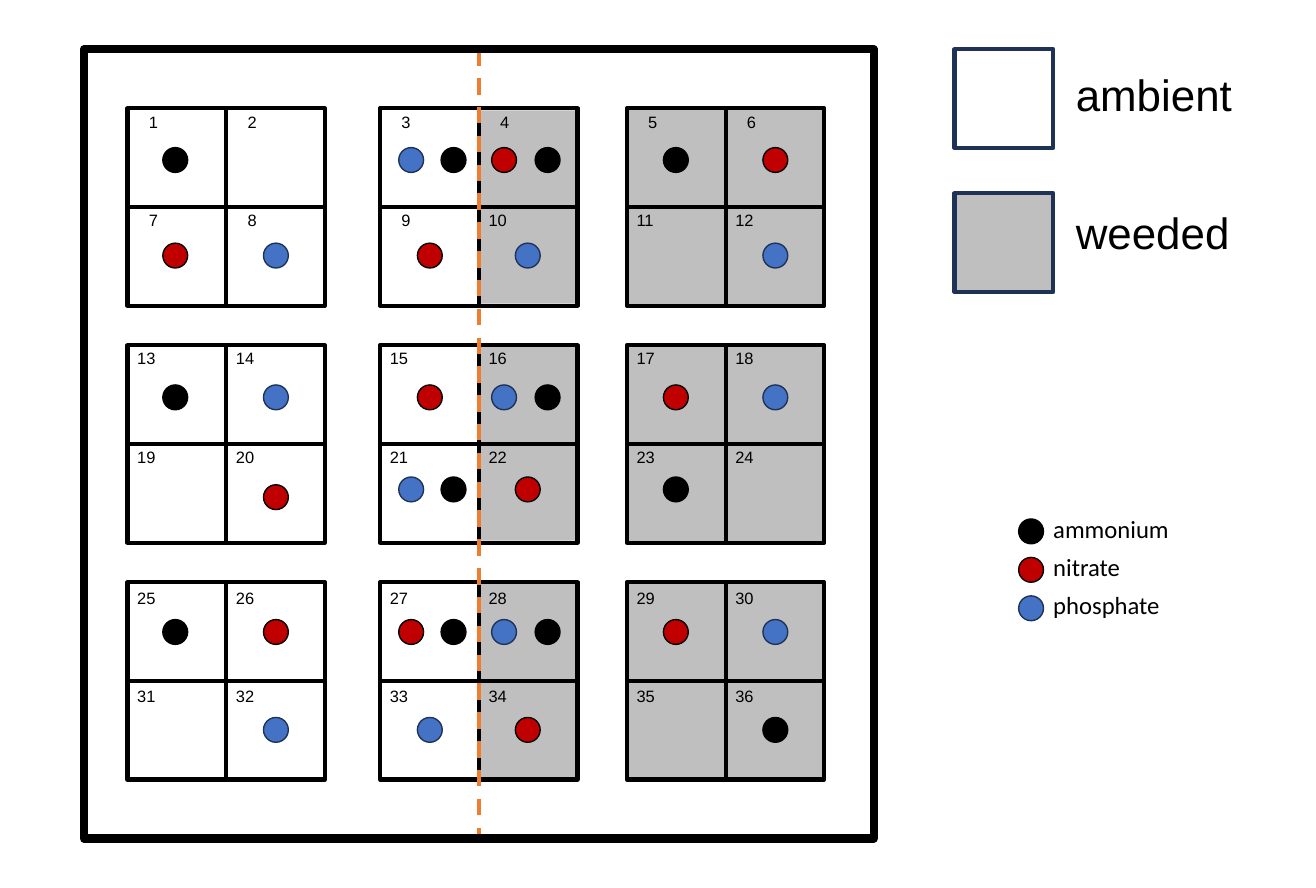
"""Build the field plot map with its treatment and nutrient legends."""
import pptx
import pptx.dml.color
import pptx.enum.dml
import pptx.enum.shapes
import pptx.enum.text
import pptx.oxml
import pptx.oxml.ns
import pptx.util

Cm = pptx.util.Cm
SHAPES = pptx.enum.shapes.MSO_SHAPE

COLORS = {"black": "000000", "white": "FFFFFF", "gray": "BFBFBF", "red": "C00000",
          "blue": "4472C4", "navy": "1E3256", "orange": "ED7D31"}
NUTRIENTS = {"A": ("ammonium", "black", "black", 3.53),
             "N": ("nitrate", "red", "black", 2.26),
             "P": ("phosphate", "blue", "navy", 3.28)}
TREATMENTS = [("ambient", "white", 1.27, 1.63, 4.57), ("weeded", "gray", 4.98, 5.16, 4.5)]
PLOTS = [
    ["A", "", "PA", "NA", "A", "N"],
    ["N", "P", "N", "P", "", "P"],
    ["A", "P", "N", "PA", "N", "P"],
    ["", "N", "PA", "N", "A", ""],
    ["A", "N", "NA", "PA", "N", "P"],
    ["", "P", "P", "N", "", "A"],
]

CELL = 2.54
BLOCK = 2 * CELL
DOT = 0.64
BLOCK_LEFTS = [3.28, 9.78, 16.13]
BLOCK_TOPS = [2.79, 8.89, 14.99]
BLOCK_FILLS = ["white", None, "gray"]
LABEL_TOPS = [2.77, 5.28, 8.84, 11.38, 15.01, 17.53]
DOT_TOPS = [3.8, 6.26, 9.91, 12.28, 15.95, 18.47]
DOT_LEFTS = [4.19, 6.78, 10.74, 13.26, 17.07, 19.63]
PAIR_LEFTS = {2: (10.26, 11.35), 3: (12.65, 13.77)}
DOT_DROPS = {20: 0.2}
DIVIDER = 12.32
FRAME = (2.16, 1.27, 20.32)

presentation = pptx.Presentation()
presentation.slide_width, presentation.slide_height = Cm(33.86), Cm(22.86)
slide = presentation.slides.add_slide(presentation.slide_layouts[6])


def rgb(name):
    return pptx.dml.color.RGBColor.from_string(COLORS[name])


def add_shape(kind, left, top, width, height, fill=None, line=None, weight=3):
    shape = slide.shapes.add_shape(kind, Cm(left), Cm(top), Cm(width), Cm(height))
    shape.shadow.inherit = False
    for part, color in ((shape.fill, fill), (shape.line.fill, line)):
        if color:
            part.solid()
            part.fore_color.rgb = rgb(color)
        else:
            part.background()
    if line:
        shape.line.width = pptx.util.Pt(weight)


def add_line(x1, y1, x2, y2, color="black", dash=None):
    connector = slide.shapes.add_connector(
        pptx.enum.shapes.MSO_CONNECTOR.STRAIGHT, Cm(x1), Cm(y1), Cm(x2), Cm(y2))
    connector.line.color.rgb = rgb(color)
    for name, value in {"width": pptx.util.Pt(3), "dash_style": dash}.items():
        setattr(connector.line, name, value)
    properties = connector._element.spPr
    properties.append(pptx.oxml.parse_xml(
        f"<a:effectLst {pptx.oxml.ns.nsdecls('a')}/>"))


def add_text(text, left, top, width, height, size, font="Arial"):
    frame = slide.shapes.add_textbox(Cm(left), Cm(top), Cm(width), Cm(height)).text_frame
    run = frame.paragraphs[0].add_run()
    frame_format = {"word_wrap": False,
                    "auto_size": pptx.enum.text.MSO_AUTO_SIZE.SHAPE_TO_FIT_TEXT}
    font_format = {"name": font, "size": pptx.util.Pt(size)}
    run.text = text
    for target, values in ((frame, frame_format), (run.font, font_format)):
        for name, value in values.items():
            setattr(target, name, value)
    run.font.color.rgb = rgb("black")


def add_dot(nutrient, left, top):
    _, fill, line, _ = NUTRIENTS[nutrient]
    add_shape(SHAPES.OVAL, left, top, DOT, DOT, fill, line, 1)


def add_blocks():
    for top in BLOCK_TOPS:
        for half, fill in enumerate(("white", "gray")):
            add_shape(SHAPES.RECTANGLE, BLOCK_LEFTS[1] + half * CELL, top + 0.05,
                      CELL, BLOCK - 0.1, fill)
        for left, fill in zip(BLOCK_LEFTS, BLOCK_FILLS):
            add_shape(SHAPES.RECTANGLE, left, top, BLOCK, BLOCK, fill, "black")
            add_line(left + CELL, top, left + CELL, top + BLOCK)
            add_line(left, top + CELL, left + BLOCK, top + CELL)
    left, top, side = FRAME
    add_line(DIVIDER, top, DIVIDER, top + side, "orange",
             pptx.enum.dml.MSO_LINE_DASH_STYLE.DASH)
    add_shape(SHAPES.RECTANGLE, left, top, side, side, None, "black", 6)


def add_plots():
    for row, plots in enumerate(PLOTS):
        for column, nutrients in enumerate(plots):
            number = row * len(plots) + column + 1
            left = BLOCK_LEFTS[column // 2] + column % 2 * CELL
            indent, width = (0.3, 0.74) if number < 10 else (0, 0.99)
            add_text(str(number), left + indent, LABEL_TOPS[row], width, 0.77, 12)
            dot_lefts = PAIR_LEFTS[column] if len(nutrients) == 2 else [DOT_LEFTS[column]]
            for nutrient, dot_left in zip(nutrients, dot_lefts):
                add_dot(nutrient, dot_left, DOT_TOPS[row] + DOT_DROPS.get(number, 0))


def add_legends():
    for name, fill, box_top, text_top, width in TREATMENTS:
        add_shape(SHAPES.RECTANGLE, 24.56, box_top, CELL, CELL, fill, "navy")
        add_text(name, 27.43, text_top, width, 1.63, 32)
    for index, (nutrient, (name, _, _, width)) in enumerate(NUTRIENTS.items()):
        add_dot(nutrient, 26.21, 13.36 + index * 0.99)
        add_text(name, 26.85, 13.11 + index * 0.97, width, 1.02, 18, "Calibri")


add_blocks()
add_plots()
add_legends()
presentation.save("out.pptx")
